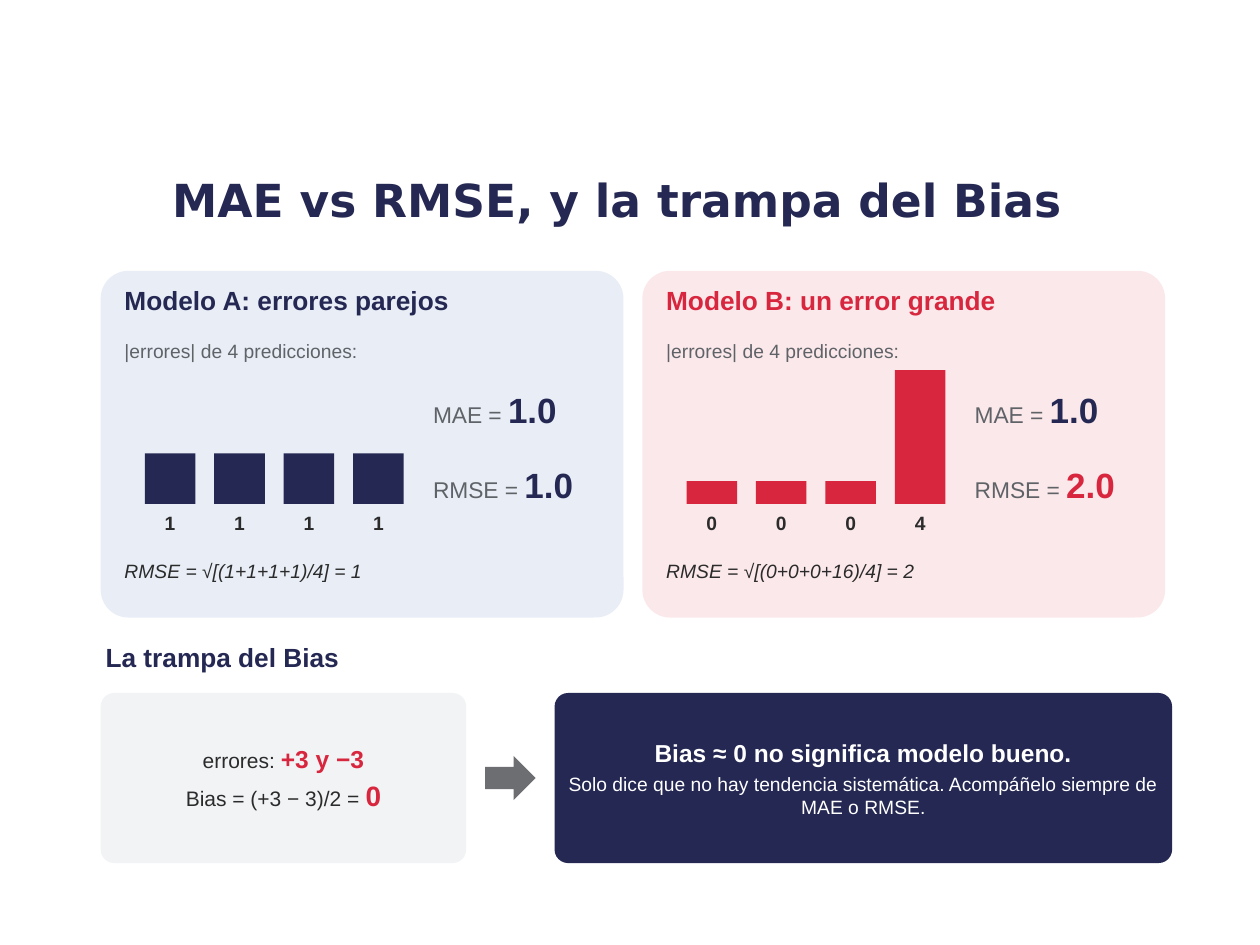
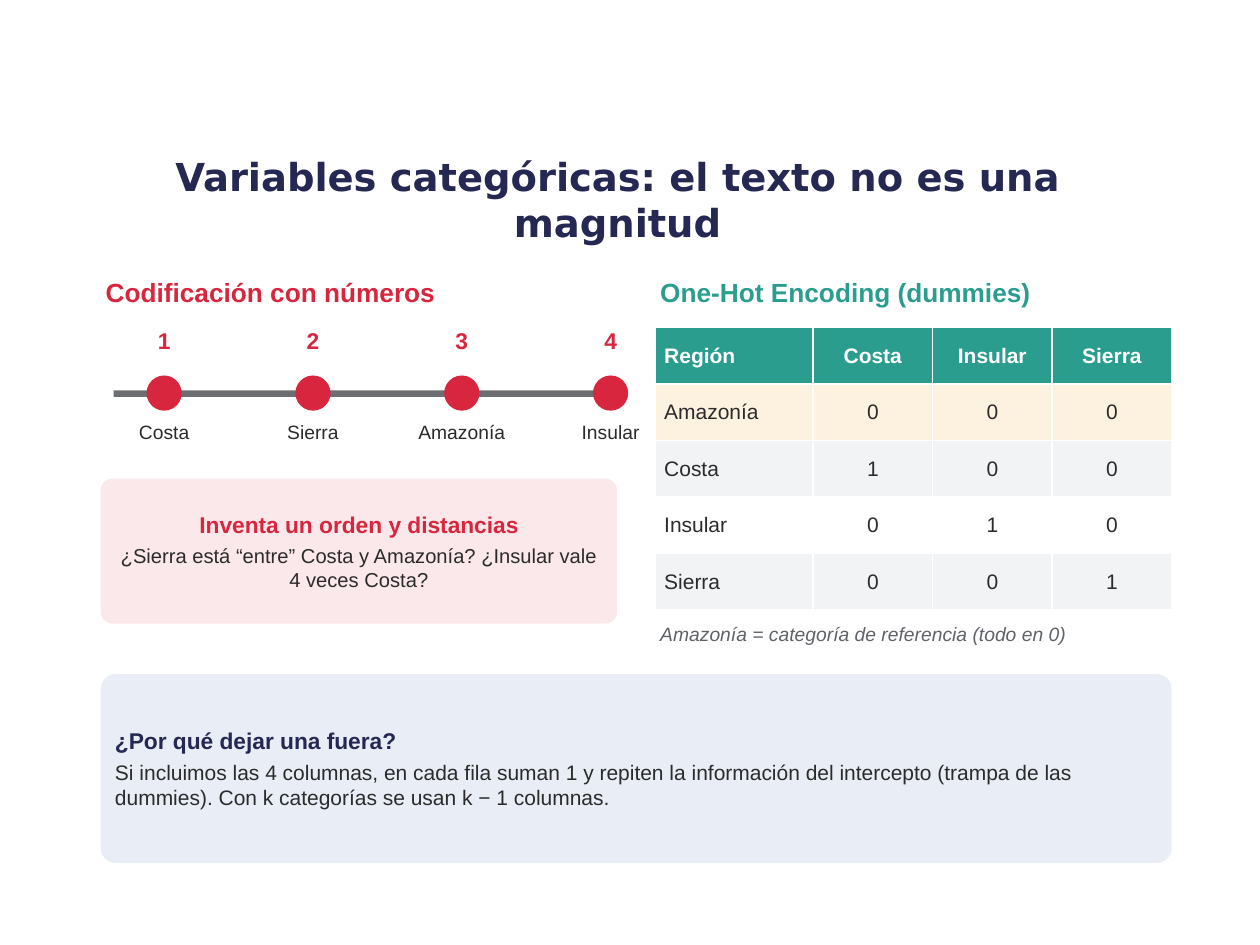
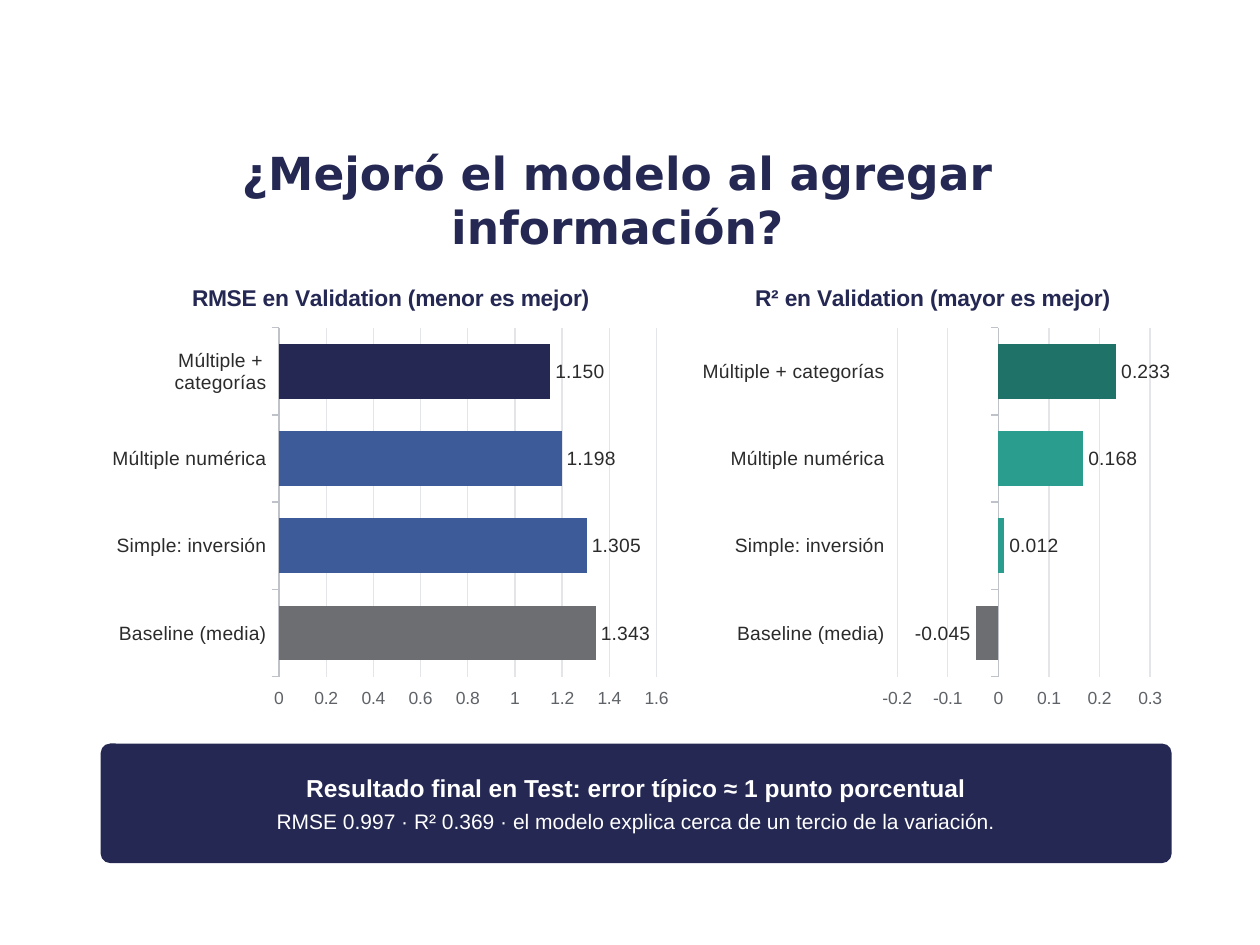
from dataclasses import dataclass

from pptx import Presentation
from pptx.chart.data import CategoryChartData
from pptx.dml.color import RGBColor
from pptx.enum.chart import XL_CHART_TYPE as ChartType
from pptx.enum.chart import XL_LABEL_POSITION as LabelPosition
from pptx.enum.chart import XL_TICK_LABEL_POSITION as TickLabels
from pptx.enum.shapes import MSO_SHAPE as Preset
from pptx.enum.text import MSO_ANCHOR as Anchor
from pptx.enum.text import MSO_AUTO_SIZE as AutoSize
from pptx.enum.text import PP_ALIGN as Align
from pptx.util import Cm, Pt


@dataclass(frozen=True)
class Theme:
    body_font: str = "Arial"
    title_font: str = "DejaVu Sans"
    navy: str = "242852"
    blue: str = "3D5A99"
    pale_blue: str = "E8EDF6"
    red: str = "D7263D"
    pale_red: str = "FBE8EA"
    teal: str = "2A9D8F"
    dark_teal: str = "1F7268"
    cream: str = "FDF2E0"
    white: str = "FFFFFF"
    pale_gray: str = "F2F3F5"
    gray: str = "6D6E71"
    muted: str = "5F6368"
    ink: str = "2B2B2B"
    axis: str = "BFC3C9"
    grid: str = "E3E5E8"
    title: float = 26
    long_title: float = 22
    figure: float = 20
    result: float = 16
    heading: float = 15
    callout: float = 14
    label: float = 13
    body: float = 12
    question: float = 11.5
    small: float = 11
    tick: float = 10


THEME = Theme()
LEFT = 2.03
RIGHT_COLUMN = 13.21
COLUMN_WIDTH = 10.41
FULL_WIDTH = 21.59


@dataclass(frozen=True)
class Run:
    text: str
    size: float = THEME.small
    color: str = THEME.ink
    bold: bool = False
    italic: bool = False
    font: str = THEME.body_font


def set_values(target, values):
    for name, value in values.items():
        setattr(target, name, value)


def format_font(font, size, color, bold=False, italic=False, name=THEME.body_font):
    set_values(font, {"size": Pt(size), "bold": bold, "italic": italic, "name": name})
    font.color.rgb = RGBColor.from_string(color)


def paint(fill, color):
    fill.solid()
    fill.fore_color.rgb = RGBColor.from_string(color)


def write(frame, lines, align=Align.LEFT, space_after=0):
    """Fill a text frame; each line is a list of runs."""
    for index, line in enumerate(lines):
        paragraph = frame.paragraphs[0] if index == 0 else frame.add_paragraph()
        set_values(paragraph, {"alignment": align, "space_after": Pt(space_after)})
        for part in line:
            run = paragraph.add_run()
            run.text = part.text
            format_font(run.font, part.size, part.color, part.bold, part.italic, part.font)


def margins(side, end):
    return {"margin_left": Cm(side), "margin_right": Cm(side),
            "margin_top": Cm(end), "margin_bottom": Cm(end)}


def add_text(slide, left, top, width, height, *runs, align=Align.LEFT, anchor=Anchor.TOP):
    box = slide.shapes.add_textbox(Cm(left), Cm(top), Cm(width), Cm(height))
    set_values(box.text_frame, {"word_wrap": True, "vertical_anchor": anchor,
                                "auto_size": AutoSize.SHAPE_TO_FIT_TEXT, **margins(0.1, 0.1)})
    write(box.text_frame, [runs], align, 4)


def add_title(slide, text, size=THEME.title):
    box = slide.shapes.add_textbox(Cm(1.91), Cm(3), Cm(21.08), Cm(2.03))
    set_values(box.text_frame, {"word_wrap": True, "vertical_anchor": Anchor.MIDDLE})
    write(box.text_frame, [[Run(text, size, THEME.navy, True, font=THEME.title_font)]], Align.CENTER)


def add_heading(slide, left, top, width, text, color, height=1.02):
    add_text(slide, left, top, width, height, Run(text, THEME.heading, color, True))


def add_block(slide, preset, left, top, width, height, color):
    block = slide.shapes.add_shape(preset, Cm(left), Cm(top), Cm(width), Cm(height))
    block.shadow.inherit = False
    paint(block.fill, color)
    block.line.fill.background()
    return block


def add_card(slide, left, top, width, height, color, lines=(), align=Align.CENTER):
    card = add_block(slide, Preset.ROUNDED_RECTANGLE, left, top, width, height, color)
    card.adjustments[0] = 0.08
    set_values(card.text_frame, {"word_wrap": True, "vertical_anchor": Anchor.MIDDLE,
                                 **margins(0.2, 0.2)})
    write(card.text_frame, lines, align, 3)


def add_model_panel(slide, left, name, errors, rmse, formula, color, background):
    add_card(slide, left, 5.46, 10.54, 6.99, background)
    text_left, text_width = left + 0.38, 9.91
    add_heading(slide, text_left, 5.64, text_width, name, color, 1.14)
    add_text(slide, text_left, 6.73, text_width, 0.89,
             Run("|errores| de 4 predicciones:", color=THEME.muted))

    bar_width, pitch, baseline = 1.02, 1.4, 10.16
    for index, error in enumerate(errors):
        bar_left = left + 0.89 + index * pitch
        bar_height = 0.46 + 0.56 * error
        add_block(slide, Preset.RECTANGLE, bar_left, baseline - bar_height,
                  bar_width, bar_height, color)
        add_text(slide, bar_left, baseline + 0.05, bar_width, 0.76,
                 Run(str(error), bold=True), align=Align.CENTER)

    metrics = [("MAE = ", "1.0", THEME.navy), ("RMSE = ", rmse, color)]
    for index, (metric, value, value_color) in enumerate(metrics):
        add_text(slide, left + 6.6, 7.49 + index * 1.52, 3.68, 1.52,
                 Run(metric, THEME.label, THEME.muted),
                 Run(value, THEME.figure, value_color, True), anchor=Anchor.MIDDLE)
    add_text(slide, text_left, 11.18, text_width, 1.02, Run(formula, italic=True))


def add_number_line(slide, names):
    add_block(slide, Preset.RECTANGLE, 2.29, 7.87, 9.91, 0.13, THEME.gray)
    diameter = 0.71
    for index, name in enumerate(names):
        center = 3.31 + index * 3
        add_block(slide, Preset.OVAL, center - diameter / 2, 7.57, diameter, diameter, THEME.red)
        add_text(slide, center - 1.4, 6.48, 2.8, 1.02,
                 Run(str(index + 1), THEME.label, THEME.red, True), align=Align.CENTER)
        add_text(slide, center - 1.52, 8.38, 3.04, 0.89, Run(name), align=Align.CENTER)


def add_dummies_table(slide, rows, row_colors):
    column_widths, row_height = [3.18, 2.41, 2.41, 2.41], 1.14
    table = slide.shapes.add_table(len(rows), len(column_widths), Cm(RIGHT_COLUMN), Cm(6.6),
                                   Cm(sum(column_widths)), Cm(row_height * len(rows))).table
    for column, width in zip(table.columns, column_widths):
        column.width = Cm(width)
    for row_index, (row, color) in enumerate(zip(rows, row_colors)):
        table.rows[row_index].height = Cm(row_height)
        is_header = row_index == 0
        text_color = THEME.white if is_header else THEME.ink
        for column_index, text in enumerate(row):
            cell = table.cell(row_index, column_index)
            set_values(cell, {"vertical_anchor": Anchor.MIDDLE, **margins(0.18, 0.08)})
            paint(cell.fill, color)
            write(cell.text_frame, [[Run(text, THEME.body, text_color, is_header)]],
                  Align.CENTER if column_index else Align.LEFT)


def add_score_chart(slide, left, width, title, scores, colors, minimum, maximum, unit):
    data = CategoryChartData()
    data.categories = ["Baseline (media)", "Simple: inversión",
                       "Múltiple numérica", "Múltiple + categorías"]
    data.add_series("Series 1", scores)
    chart = slide.shapes.add_chart(ChartType.BAR_CLUSTERED, Cm(left), Cm(5.33),
                                   Cm(width), Cm(9.14), data).chart
    chart.has_legend = False
    format_font(chart.font, THEME.small, THEME.ink)
    write(chart.chart_title.text_frame, [[Run(title, THEME.label, THEME.navy, True)]], Align.CENTER)

    categories = chart.category_axis
    categories.tick_label_position = TickLabels.LOW
    format_font(categories.tick_labels.font, THEME.small, THEME.ink)
    values = chart.value_axis
    set_values(values, {"minimum_scale": minimum, "maximum_scale": maximum, "major_unit": unit})
    format_font(values.tick_labels.font, THEME.tick, THEME.muted)
    values.format.line.fill.background()
    for line, color in [(categories.format.line, THEME.axis),
                        (values.major_gridlines.format.line, THEME.grid)]:
        line.width = Pt(0.75)
        line.color.rgb = RGBColor.from_string(color)

    plot = chart.plots[0]
    set_values(plot, {"gap_width": 60, "vary_by_categories": False, "has_data_labels": True})
    set_values(plot.data_labels, {"show_value": True, "position": LabelPosition.OUTSIDE_END,
                                  "number_format": "0.000", "number_format_is_linked": False})
    format_font(plot.data_labels.font, THEME.small, THEME.ink)
    series = plot.series[0]
    series.invert_if_negative = False
    paint(series.format.fill, THEME.blue)
    for index, color in enumerate(colors):
        paint(series.points[index].format.fill, color)


def build_metrics_slide(slide):
    add_title(slide, "MAE vs RMSE, y la trampa del Bias")
    add_model_panel(slide, LEFT, "Modelo A: errores parejos", [1, 1, 1, 1], "1.0",
                    "RMSE = √[(1+1+1+1)/4] = 1", THEME.navy, THEME.pale_blue)
    add_model_panel(slide, 12.95, "Modelo B: un error grande", [0, 0, 0, 4], "2.0",
                    "RMSE = √[(0+0+0+16)/4] = 2", THEME.red, THEME.pale_red)

    add_heading(slide, LEFT, 12.83, FULL_WIDTH, "La trampa del Bias", THEME.navy)
    add_card(slide, LEFT, 13.97, 7.37, 3.43, THEME.pale_gray, [
        [Run("errores: ", THEME.body), Run("+3 y −3", THEME.callout, THEME.red, True)],
        [Run("Bias = (+3 − 3)/2 = ", THEME.body), Run("0", THEME.result, THEME.red, True)],
    ])
    add_block(slide, Preset.RIGHT_ARROW, 9.78, 15.24, 1.02, 0.89, THEME.gray)
    add_card(slide, 11.18, 13.97, 12.45, 3.43, THEME.navy, [
        [Run("Bias ≈ 0 no significa modelo bueno.", THEME.callout, THEME.white, True)],
        [Run("Solo dice que no hay tendencia sistemática. Acompáñelo siempre de MAE o RMSE.",
             color=THEME.white)],
    ])


def build_categories_slide(slide):
    add_title(slide, "Variables categóricas: el texto no es una magnitud", THEME.long_title)
    add_heading(slide, LEFT, 5.46, COLUMN_WIDTH, "Codificación con números", THEME.red)
    add_number_line(slide, ["Costa", "Sierra", "Amazonía", "Insular"])
    add_card(slide, LEFT, 9.65, COLUMN_WIDTH, 2.92, THEME.pale_red, [
        [Run("Inventa un orden y distancias", THEME.label, THEME.red, True)],
        [Run("¿Sierra está “entre” Costa y Amazonía? ¿Insular vale 4 veces Costa?",
             THEME.question)],
    ])

    add_heading(slide, RIGHT_COLUMN, 5.46, COLUMN_WIDTH, "One-Hot Encoding (dummies)", THEME.teal)
    dummies = ["Costa", "Insular", "Sierra"]
    rows = [["Región", *dummies]]
    for region in ["Amazonía", *dummies]:
        rows.append([region, *(str(int(region == dummy)) for dummy in dummies)])
    add_dummies_table(slide, rows, [THEME.teal, THEME.cream, THEME.pale_gray,
                                    THEME.white, THEME.pale_gray])
    add_text(slide, RIGHT_COLUMN, 12.45, COLUMN_WIDTH, 0.89,
             Run("Amazonía = categoría de referencia (todo en 0)", color=THEME.muted, italic=True))

    add_card(slide, LEFT, 13.59, FULL_WIDTH, 3.81, THEME.pale_blue, [
        [Run("¿Por qué dejar una fuera?", THEME.label, THEME.navy, True)],
        [Run("Si incluimos las 4 columnas, en cada fila suman 1 y repiten la información del "
             "intercepto (trampa de las dummies). Con k categorías se usan k − 1 columnas.",
             THEME.body)],
    ], Align.LEFT)


def build_results_slide(slide):
    add_title(slide, "¿Mejoró el modelo al agregar información?")
    add_score_chart(slide, LEFT, 11.68, "RMSE en Validation (menor es mejor)",
                    [1.343, 1.305, 1.198, 1.15],
                    [THEME.gray, THEME.blue, THEME.blue, THEME.navy], 0, 1.6, 0.2)
    add_score_chart(slide, 13.97, 9.65, "R² en Validation (mayor es mejor)",
                    [-0.045, 0.012, 0.168, 0.233],
                    [THEME.gray, THEME.teal, THEME.teal, THEME.dark_teal], -0.2, 0.3, 0.1)
    add_card(slide, LEFT, 14.99, FULL_WIDTH, 2.41, THEME.navy, [
        [Run("Resultado final en Test: error típico ≈ 1 punto porcentual",
             THEME.callout, THEME.white, True)],
        [Run("RMSE 0.997 · R² 0.369 · el modelo explica cerca de un tercio de la variación.",
             THEME.body, THEME.white)],
    ])


def main():
    presentation = Presentation()
    set_values(presentation, {"slide_width": Cm(25.4), "slide_height": Cm(19.05)})
    blank_layout = presentation.slide_layouts[6]
    for build in (build_metrics_slide, build_categories_slide, build_results_slide):
        build(presentation.slides.add_slide(blank_layout))
    presentation.save("out.pptx")


if __name__ == "__main__":
    main()
